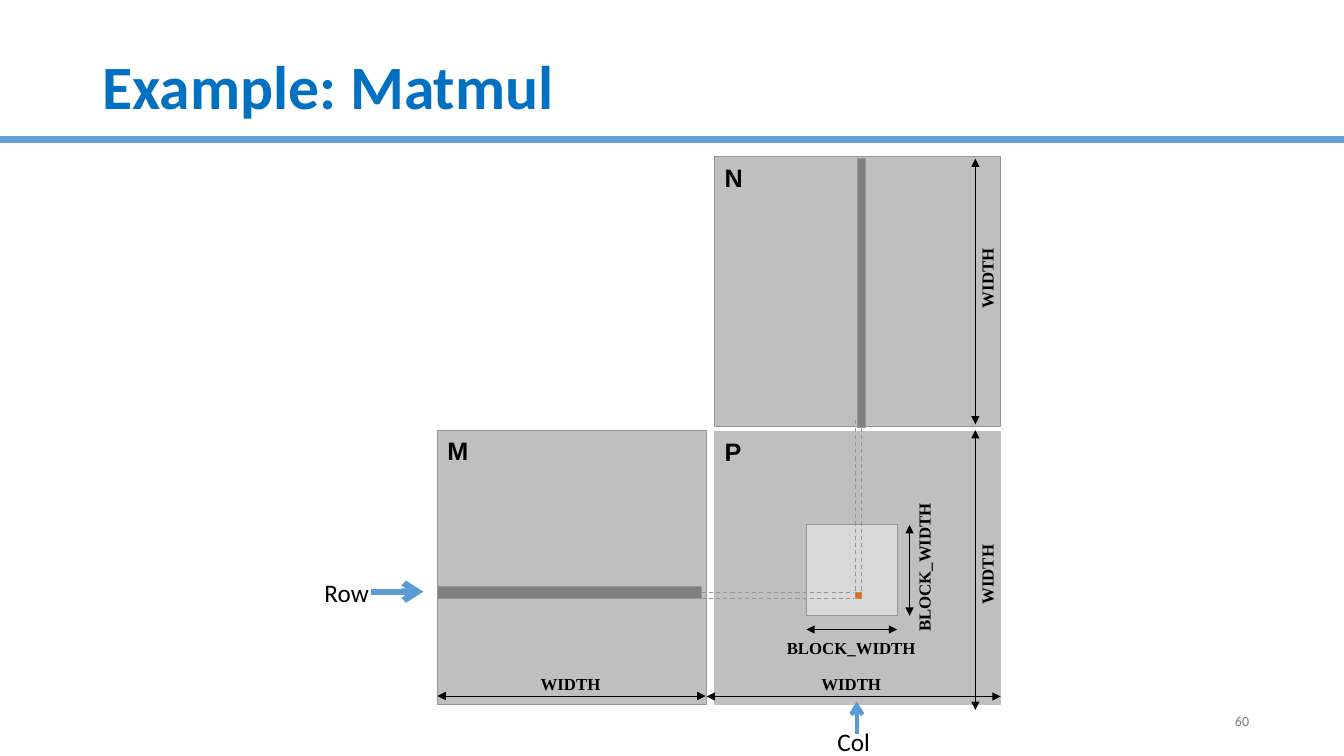
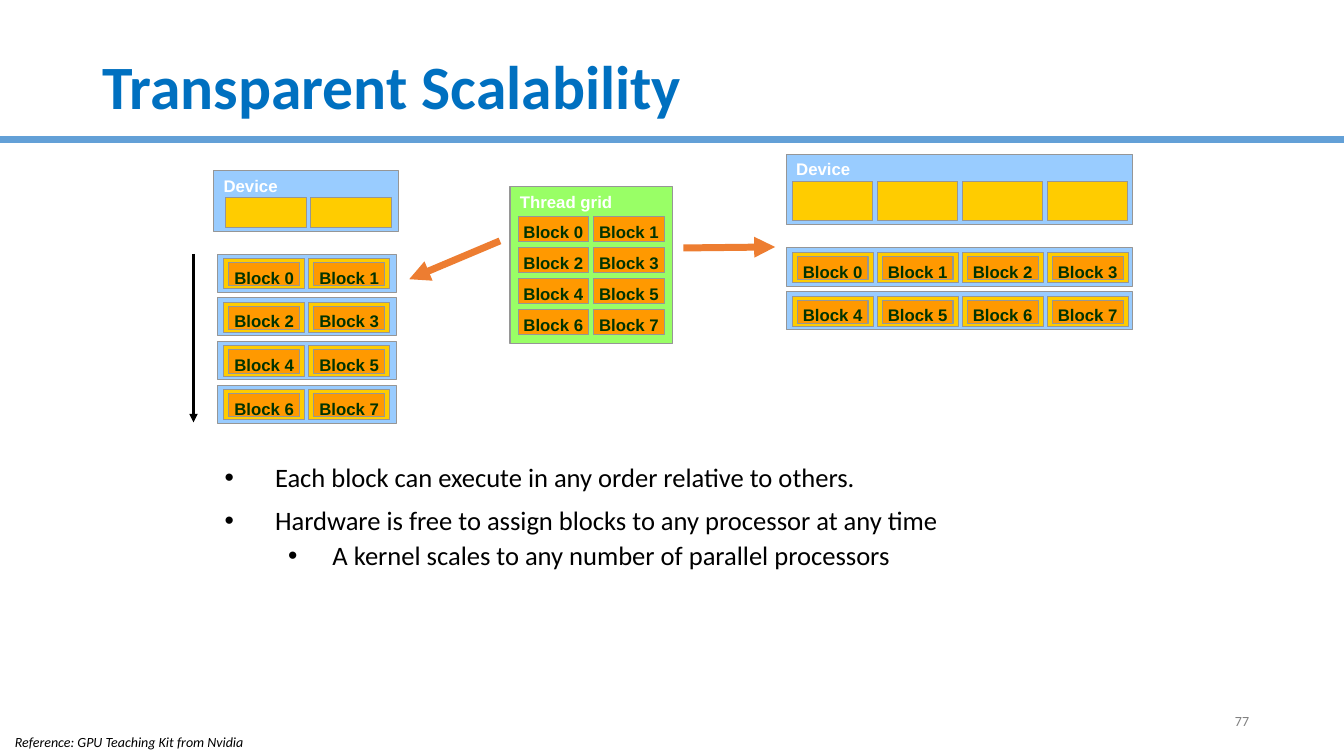
from lxml import etree
from pptx import Presentation
from pptx import util as u
from pptx.dml import color
from pptx.enum import dml, shapes, text
from pptx.oxml import ns

COLUMNS, ROWS = 80, 45
WIDTH, HEIGHT = u.Inches(13.33), u.Inches(7.5)


def rgb(value):
    return color.RGBColor.from_string(value)


class Style:
    ink = "000000"
    white = "FFFFFF"
    title = "0070C0"
    rule = "63A0D7"
    page = "808080"
    edge = "969696"
    matrix = "BFBFBF"
    tile = "D9D9D9"
    strip = "808080"
    element = "FF6600"
    pointer = "5B9BD5"
    device = "99CCFF"
    core = "FFCC00"
    block = "FF9900"
    block_text = "003300"
    grid = "99FF66"
    assign = "ED7D31"


class Board:
    def __init__(self):
        self.deck = Presentation()
        self.deck.slide_width, self.deck.slide_height = WIDTH, HEIGHT
        self.slide = None

    def place(self, *lengths):
        units = (WIDTH / COLUMNS, HEIGHT / ROWS)
        return [round(n * units[i % 2]) for i, n in enumerate(lengths)]

    def start(self, title, number):
        self.slide = self.deck.slides.add_slide(self.deck.slide_layouts[6])
        self.line(80, 8.28, 0, 8.28, Style.rule, 5)
        box = self.label(title, 5.5, 2.4, 69, 5.88, size=44, ink=Style.title,
                         bold=True, wrap=True, middle=True)
        box.text_frame.paragraphs[0].line_spacing = 0.9
        self.label(str(number), 56.94, 41.7, 18, 2.4, size=10, ink=Style.page,
                   align="RIGHT", wrap=True, middle=True)

    def set_text(self, box, words, size, ink, font, bold=False, italic=False,
                 align="LEFT", wrap=True, middle=False):
        frame = box.text_frame
        frame.word_wrap = wrap
        anchors = text.MSO_ANCHOR
        frame.vertical_anchor = anchors.MIDDLE if middle else anchors.TOP
        para = frame.paragraphs[0]
        para.text = words
        para.alignment = getattr(text.PP_ALIGN, align)
        self.set_font(para, size, ink, font, bold, italic)

    def set_font(self, para, size, ink, font="Calibri", bold=False, italic=False):
        para.font.size = u.Pt(size)
        para.font.name = font
        para.font.bold = bold
        para.font.italic = italic
        para.font.color.rgb = rgb(ink)

    def label(self, words, left, top, width, height, size=18, ink=Style.ink,
              font="Calibri", wrap=False, **look):
        box = self.slide.shapes.add_textbox(*self.place(left, top, width, height))
        self.set_text(box, words, size, ink, font, wrap=wrap, **look)
        return box

    def dimension_label(self, words, x, y, upright=False):
        width = 8 if "_" in words else 4
        box = self.label(words, x - width / 2, y - 0.6, width, 1.2, size=12,
                         font="Times New Roman", bold=True, align="CENTER")
        frame = box.text_frame
        frame.margin_left = frame.margin_right = 0
        frame.margin_top = frame.margin_bottom = 0
        if upright:
            box.rotation = 270

    def rect(self, left, top, width, height, fill, edge=Style.edge):
        box = self.slide.shapes.add_shape(shapes.MSO_SHAPE.RECTANGLE,
                                          *self.place(left, top, width, height))
        box.shadow.inherit = False
        box.fill.solid()
        box.fill.fore_color.rgb = rgb(fill)
        box.line.color.rgb = rgb(edge)
        box.line.width = u.Pt(0.75)
        return box

    def panel(self, words, left, top, width, height, fill, size=12,
              ink=Style.white, edge=Style.edge):
        box = self.rect(left, top, width, height, fill, edge)
        self.set_text(box, words, size, ink, "Arial", bold=True)

    def block(self, index, left, top, height):
        box = self.rect(left, top, 4.2, height, Style.block)
        self.set_text(box, f"Block {index}", 12, Style.block_text, "Arial",
                      bold=True, align="CENTER", wrap=False)

    def line(self, x1, y1, x2, y2, ink, weight, head=None, tail=None, dashed=False):
        link = self.slide.shapes.add_connector(
            shapes.MSO_CONNECTOR.STRAIGHT, *self.place(x1, y1, x2, y2))
        link.line.color.rgb = rgb(ink)
        link.line.width = u.Pt(weight)
        if dashed:
            link.line.dash_style = dml.MSO_LINE.DASH
        outline = link.line._get_or_add_ln()
        for tag, kind in (("a:headEnd", head), ("a:tailEnd", tail)):
            if kind:
                etree.SubElement(outline, ns.qn(tag), type=kind)
        etree.SubElement(link._element.spPr, ns.qn("a:effectLst"))

    def dimension(self, *ends):
        self.line(*ends, Style.ink, 0.5, head="triangle", tail="triangle")

    def guide(self, *ends):
        self.line(*ends, Style.edge, 0.75, dashed=True)

    def device(self, left, top, width, height, inset, count, core_height):
        self.panel("Device", left, top, width, height, Style.device)
        for i in range(count):
            self.rect(left + inset + i * 5.06, top + 1.62, 4.8, core_height, Style.core)

    def schedule(self, left, top, width, per_row):
        for first in range(0, 8, per_row):
            y = top + first // per_row * 2.6
            self.rect(left, y, width, 2.28, Style.device)
            for i in range(per_row):
                x = left + 0.37 + i * 5.06
                self.rect(x, y + 0.27, 4.8, 1.8, Style.core)
                self.block(first + i, x + 0.3, y + 0.51, 1.38)

    def bullets(self, items, *area):
        box = self.slide.shapes.add_textbox(*self.place(*area))
        frame = box.text_frame
        frame.word_wrap = True
        for i, (level, words) in enumerate(items):
            para = frame.paragraphs[0] if i == 0 else frame.add_paragraph()
            para.text = words
            para.level = level
            para.line_spacing = 0.9
            para.space_before = u.Pt((10, 5)[level] if i else 0)
            margin, indent = ((0.5, -0.5), (1.07, -0.44))[level]
            props = para._p.get_or_add_pPr()
            props.set("marL", str(u.Inches(margin)))
            props.set("indent", str(u.Inches(indent)))
            etree.SubElement(props, ns.qn("a:buFont"), typeface="Arial")
            etree.SubElement(props, ns.qn("a:buChar"), char="•")
            self.set_font(para, 19, Style.ink)


def matmul(board):
    board.start("Example: Matmul", 60)
    for name, left, top, width, height, edge in (
            ("M", 26.04, 25.64, 16.04, 16.3, Style.edge),
            ("N", 42.54, 9.34, 17, 16.04, Style.edge),
            ("P", 42.54, 25.66, 17, 16.28, Style.matrix)):
        board.panel(name, left, top, width, height, Style.matrix, 18, Style.ink, edge)
    board.rect(48, 31.25, 5.4, 5.4, Style.tile)

    for x in (50.94, 51.3):
        board.guide(x, 25.02, x, 35.28)
    for ends in ((58.06, 25.6, 58.06, 42.26), (59.56, 41.46, 42.06, 41.46),
                 (54.14, 31.25, 54.14, 36.65), (48, 37.47, 53.4, 37.47),
                 (26.04, 41.43, 42, 41.43), (58.06, 25.26, 58.06, 9.44)):
        board.dimension(*ends)
    board.rect(50.94, 35.28, 0.36, 0.36, Style.element)
    for y in (35.28, 35.64):
        board.guide(41.76, y, 50.82, y)

    for words, x, y, upright in (
            ("BLOCK_WIDTH", 50.67, 38.58, False), ("WIDTH", 50.67, 40.68, False),
            ("WIDTH", 33.96, 40.68, False), ("BLOCK_WIDTH", 55, 33.78, True),
            ("WIDTH", 58.74, 16.56, True), ("WIDTH", 58.74, 34.2, True)):
        board.dimension_label(words, x, y, upright)

    board.rect(26.04, 34.92, 15.72, 0.72, Style.strip)
    board.rect(51.06, 9.42, 0.48, 16.02, Style.strip)
    board.label("Row", 18.72, 34.08, 3.9, 2.4)
    board.line(22.08, 35.22, 25.2, 35.22, Style.pointer, 4.5, tail="arrow")
    board.label("Col", 49.26, 42.96, 3.18, 2.4)
    board.line(51, 43.68, 51, 41.76, Style.pointer, 3, tail="arrow")


def scalability(board):
    board.start("Transparent Scalability", 77)
    board.bullets((
        (0, "Each block can execute in any order relative to others."),
        (0, "Hardware is free to assign blocks to any processor at any time"),
        (1, "A kernel scales to any number of parallel processors"),
    ), 12.78, 27.36, 54.42, 9.18)

    board.device(12.72, 10.14, 11, 3.66, inset=0.72, count=2, core_height=1.8)
    board.line(11.52, 15.12, 11.52, 25.14, Style.ink, 2, tail="triangle")
    board.schedule(12.96, 15.12, 10.62, per_row=2)

    board.panel("Thread grid", 30.36, 11.1, 9.66, 9.36, Style.grid)
    for index in range(8):
        row, column = divmod(index, 2)
        board.block(index, 30.84 + column * 4.5, 12.9 + row * 1.84, 1.5)

    board.device(46.8, 9.18, 20.64, 4.2, inset=0.36, count=4, core_height=2.34)
    board.schedule(46.8, 14.76, 20.64, per_row=4)

    board.line(29.76, 14.34, 24.36, 16.62, Style.assign, 5, tail="triangle")
    board.line(40.68, 14.76, 46.14, 14.7, Style.assign, 5, tail="triangle")
    board.label("Reference: GPU Teaching Kit from Nvidia", 0.3, 43.38, 15, 1.62,
                size=10, italic=True)


def main():
    board = Board()
    matmul(board)
    scalability(board)
    board.deck.save("out.pptx")


if __name__ == "__main__":
    main()
